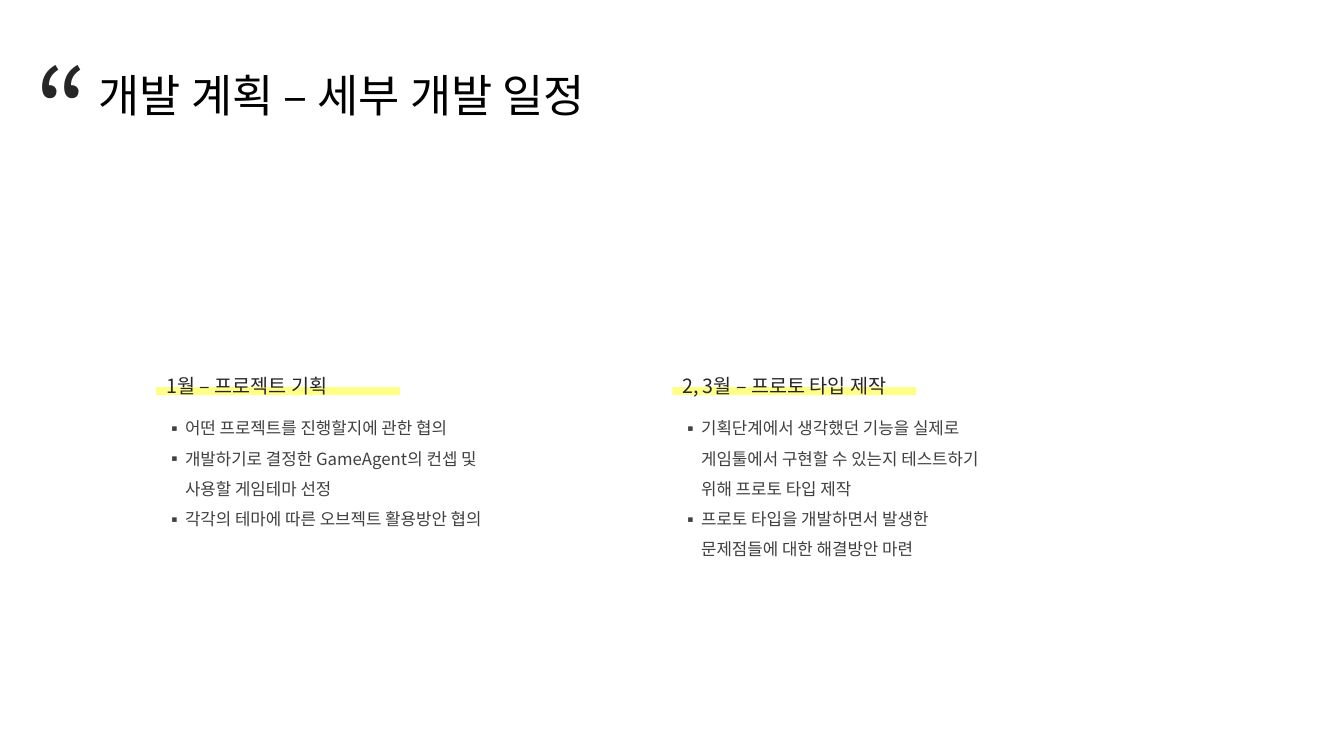
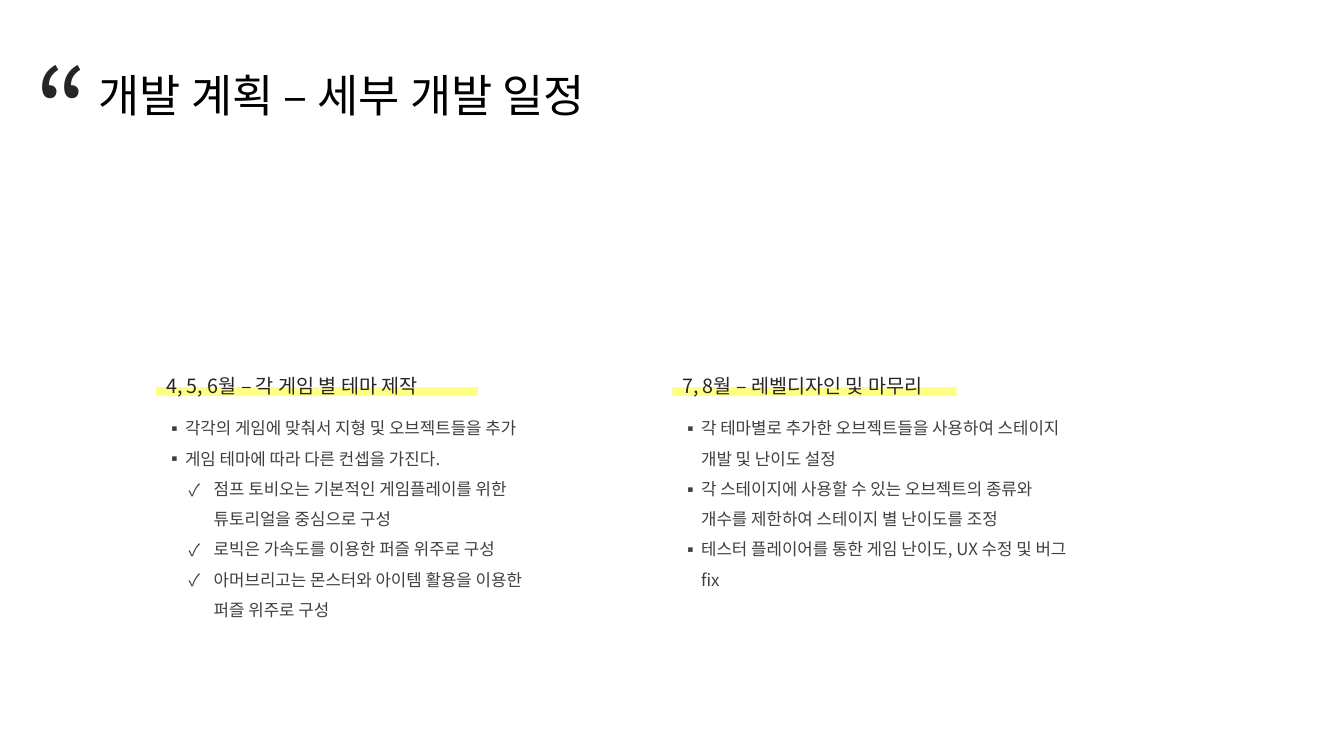
from dataclasses import dataclass

import lxml.etree
import pptx
import pptx.dml.color
import pptx.enum.shapes
import pptx.enum.text
import pptx.oxml.ns
import pptx.slide
import pptx.text.text
import pptx.util

Pt = pptx.util.Pt
qn = pptx.oxml.ns.qn


@dataclass(frozen=True)
class Theme:
    font: str = "Noto Sans CJK KR"
    black: str = "000000"
    dark: str = "262626"
    gray: str = "404040"
    mark: str = "FFFF00"
    alpha: int = 48000
    title: int = 32
    quote: int = 80
    head: int = 14
    body: int = 12


@dataclass(frozen=True)
class Box:
    left: float
    top: float
    width: float
    height: float

    def place(self) -> tuple:
        return Pt(self.left), Pt(self.top), Pt(self.width), Pt(self.height)


@dataclass(frozen=True)
class Bullet:
    sign: str
    left: float
    hang: float


@dataclass(frozen=True)
class Item:
    text: str
    level: int = 0


@dataclass(frozen=True)
class Stage:
    head: str
    bar: float
    items: tuple[Item, ...]


@dataclass(frozen=True)
class Page:
    width: float
    height: float
    stages: tuple[Stage, ...]


THEME = Theme()
TITLE = "개발 계획 – 세부 개발 일정"
LEFTS = (111.6, 480.24)
BULLETS = (Bullet("▪", 13.5, 13.5), Bullet("✓", 34, 18))

PAGES = (
    Page(242.64, 5.76, (
        Stage("1월 – 프로젝트 기획", 174.24, (
            Item("어떤 프로젝트를 진행할지에 관한 협의"),
            Item("개발하기로 결정한 GameAgent의 컨셉 및 사용할 게임테마 선정"),
            Item("각각의 테마에 따른 오브젝트 활용방안 협의"),
        )),
        Stage("2, 3월 – 프로토 타입 제작", 174.24, (
            Item("기획단계에서 생각했던 기능을 실제로 게임툴에서 구현할 수 있는지 테스트하기 위해 프로토 타입 제작"),
            Item("프로토 타입을 개발하면서 발생한 문제점들에 대한 해결방안 마련"),
        )),
    )),
    Page(292.32, 6.48, (
        Stage("4, 5, 6월 – 각 게임 별 테마 제작", 229.68, (
            Item("각각의 게임에 맞춰서 지형 및 오브젝트들을 추가"),
            Item("게임 테마에 따라 다른 컨셉을 가진다."),
            Item("점프 토비오는 기본적인 게임플레이를 위한 튜토리얼을 중심으로 구성", 1),
            Item("로빅은 가속도를 이용한 퍼즐 위주로 구성", 1),
            Item("아머브리고는 몬스터와 아이템 활용을 이용한 퍼즐 위주로 구성", 1),
        )),
        Stage("7, 8월 – 레벨디자인 및 마무리", 203.04, (
            Item("각 테마별로 추가한 오브젝트들을 사용하여 스테이지 개발 및 난이도 설정"),
            Item("각 스테이지에 사용할 수 있는 오브젝트의 종류와 개수를 제한하여 스테이지 별 난이도를 조정"),
            Item("테스터 플레이어를 통한 게임 난이도, UX 수정 및 버그 fix"),
        )),
    )),
)


def tint(code: str) -> pptx.dml.color.RGBColor:
    return pptx.dml.color.RGBColor.from_string(code)


def dot(para: pptx.text.text._Paragraph, bullet: Bullet) -> None:
    props = para._p.get_or_add_pPr()
    props.set("marL", str(Pt(bullet.left)))
    props.set("indent", str(-Pt(bullet.hang)))
    font = lxml.etree.SubElement(props, qn("a:buFont"))
    font.set("typeface", THEME.font)
    sign = lxml.etree.SubElement(props, qn("a:buChar"))
    sign.set("char", bullet.sign)


def write(slide: pptx.slide.Slide, box: Box, items: tuple[Item, ...], *,
          size: int, color: str, space: float = 1.0, list_on: bool = False) -> None:
    frame = slide.shapes.add_textbox(*box.place()).text_frame
    frame.word_wrap = True
    frame.auto_size = pptx.enum.text.MSO_AUTO_SIZE.SHAPE_TO_FIT_TEXT
    for index, item in enumerate(items):
        para = frame.add_paragraph() if index else frame.paragraphs[0]
        para.level = item.level
        para.line_spacing = space
        if list_on:
            dot(para, BULLETS[item.level])
        run = para.add_run()
        run.text = item.text
        run.font.size = Pt(size)
        run.font.name = THEME.font
        run.font.color.rgb = tint(color)
        east = lxml.etree.SubElement(run._r.get_or_add_rPr(), qn("a:ea"))
        east.set("typeface", THEME.font)


def streak(slide: pptx.slide.Slide, box: Box) -> None:
    shape = slide.shapes.add_shape(pptx.enum.shapes.MSO_SHAPE.RECTANGLE, *box.place())
    shape.shadow.inherit = False
    shape.fill.solid()
    shape.fill.fore_color.rgb = tint(THEME.mark)
    shape.line.fill.background()
    color = next(shape._element.spPr.iter(qn("a:srgbClr")))
    lxml.etree.SubElement(color, qn("a:alpha")).set("val", str(THEME.alpha))


def banner(slide: pptx.slide.Slide) -> None:
    write(slide, Box(63.36, 44.64, 473.76, 46.08), (Item(TITLE),),
          size=THEME.title, color=THEME.black)
    write(slide, Box(18, 25.2, 59.76, 104.4), (Item("“"),),
          size=THEME.quote, color=THEME.dark)


def column(slide: pptx.slide.Slide, page: Page, stage: Stage, left: float) -> None:
    streak(slide, Box(left, 276.48, stage.bar, page.height))
    write(slide, Box(left, 254.88, 229.68, 30.24), (Item(stage.head),),
          size=THEME.head, color=THEME.dark, space=1.5)
    write(slide, Box(left, 288, page.width, 136), stage.items,
          size=THEME.body, color=THEME.gray, space=1.5, list_on=True)


def main() -> None:
    deck = pptx.Presentation()
    deck.slide_width, deck.slide_height = Pt(960), Pt(540)
    for page in PAGES:
        slide = deck.slides.add_slide(deck.slide_layouts[6])
        banner(slide)
        for stage, left in zip(page.stages, LEFTS):
            column(slide, page, stage, left)
    deck.save("out.pptx")


if __name__ == "__main__":
    main()
